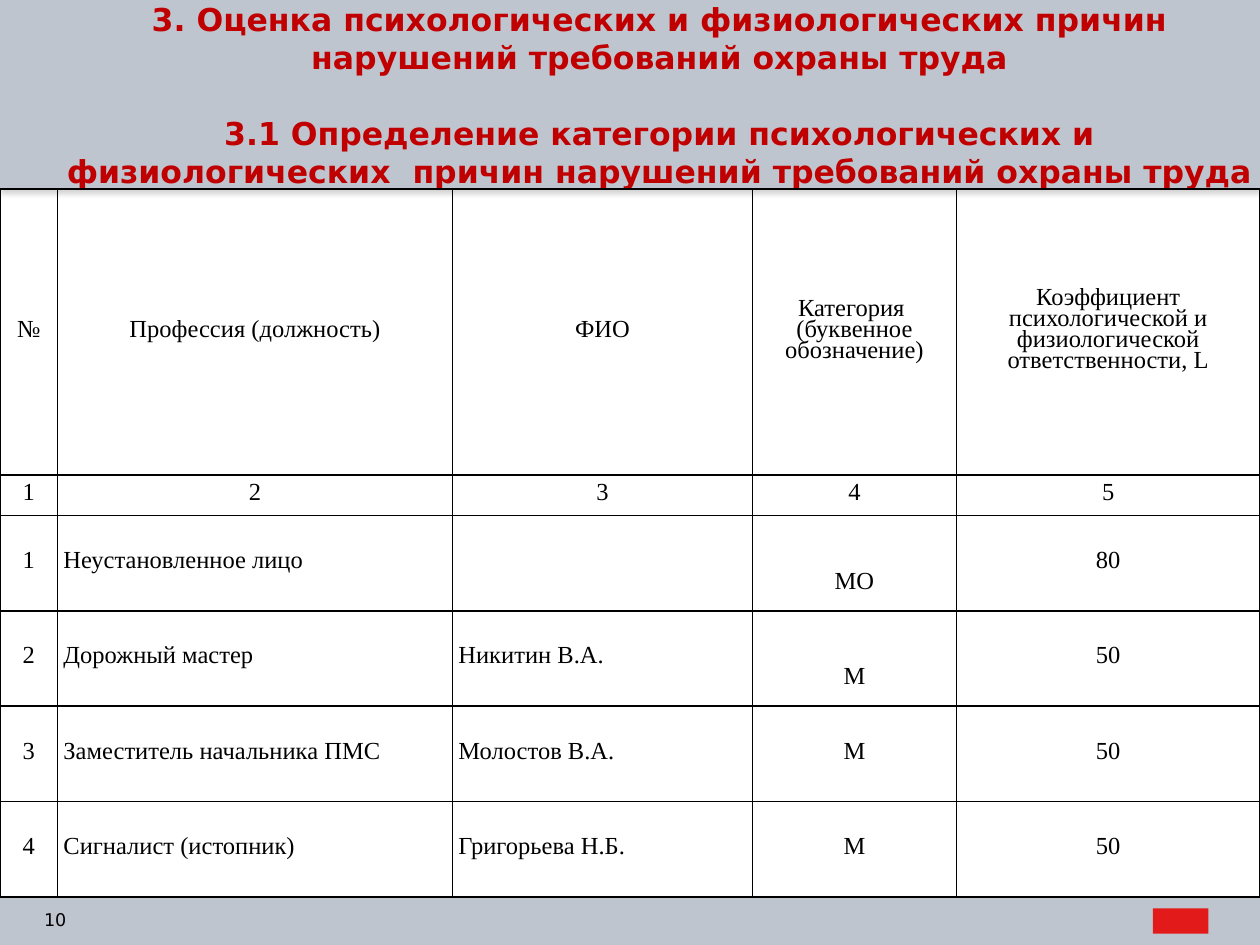
"""Build the slide on psychological and physiological causes of safety violations."""
import dataclasses

import lxml.etree
import pptx
import pptx.dml.color
import pptx.enum.shapes
import pptx.enum.text
import pptx.oxml.ns
import pptx.presentation
import pptx.shapes.autoshape
import pptx.slide
import pptx.table
import pptx.text.text
import pptx.util

Pt = pptx.util.Pt
RGB = pptx.dml.color.RGBColor
ALIGN = pptx.enum.text.PP_ALIGN
ANCHOR = pptx.enum.text.MSO_ANCHOR
qn = pptx.oxml.ns.qn


@dataclasses.dataclass(frozen=True)
class Theme:
    bar: str = "BFC5CE"
    shadow: str = "808080"
    emblem: str = "E21A1A"
    heading: str = "C00000"
    ink: str = "000000"
    sans: str = "DejaVu Sans"
    serif: str = "Times New Roman"
    heading_size: float = 18
    table_size: float = 14
    number_size: float = 10
    heading_line: float = 21.7
    table_line: float = 12


@dataclasses.dataclass(frozen=True)
class Block:
    left: float
    top: float
    width: float
    height: float
    color: str
    shadowed: bool = False


@dataclasses.dataclass(frozen=True)
class Worker:
    profession: str
    name: str
    category: str
    coefficient: str
    category_drop: float = 0


THEME = Theme()
SLIDE_WIDTH, SLIDE_HEIGHT = 720, 540
HEADER_HEIGHT = 108
FOOTER_TOP = 512.6
BLOCKS = (
    Block(0, 0, SLIDE_WIDTH, HEADER_HEIGHT, THEME.bar, True),
    Block(0, FOOTER_TOP, SLIDE_WIDTH, SLIDE_HEIGHT - FOOTER_TOP, THEME.bar, True),
    Block(658.8, 519.1, 31.7, 14.4, THEME.emblem),
)
HEADING = (
    "3. Оценка психологических и физиологических причин нарушений требований охраны труда\n"
    "3.1 Определение категории психологических и физиологических  причин "
    "нарушений требований охраны труда"
)
COLUMN_TITLES = (
    "№",
    "Профессия (должность)",
    "ФИО",
    "Категория  (буквенное обозначение)",
    "Коэффициент психологической и физиологической ответственности, L",
)
COLUMN_WIDTHS = (32.9, 225.7, 171.4, 116.6, 173.4)
TITLE_ROW, NUMBER_ROW, WORKER_ROW = 163.4, 23.2, 54.5
CATEGORY_COLUMN = 3
LEFT_COLUMNS = (1, 2)
WORKERS = (
    Worker("Неустановленное лицо", "", "МО", "80", 24),
    Worker("Дорожный мастер", "Никитин В.А.", "М", "50", 24),
    Worker("Заместитель начальника ПМС", "Молостов В.А.", "М", "50"),
    Worker("Сигналист (истопник)", "Григорьева Н.Б.", "М", "50"),
)


def style_text(
    frame: pptx.text.text.TextFrame, font: str, size: float, color: str, bold: bool = False
) -> None:
    for paragraph in frame.paragraphs:
        for run in paragraph.runs:
            run.font.name = font
            run.font.size = Pt(size)
            run.font.bold = bold
            run.font.color.rgb = RGB.from_string(color)


def clear_margins(frame: pptx.text.text.TextFrame) -> None:
    frame.margin_left = frame.margin_right = frame.margin_top = frame.margin_bottom = 0
    frame.word_wrap = True


def add_shadow(bar: pptx.shapes.autoshape.Shape) -> None:
    effects = bar.element.spPr.find(qn("a:effectLst"))
    outer = lxml.etree.SubElement(
        effects, qn("a:outerShdw"), blurRad=str(Pt(3.1)), dist=str(Pt(1.8)),
        dir="5400000", algn="t", rotWithShape="0",
    )
    color = lxml.etree.SubElement(outer, qn("a:srgbClr"), val=THEME.shadow)
    lxml.etree.SubElement(color, qn("a:alpha"), val="35000")


def draw_block(slide: pptx.slide.Slide, block: Block) -> None:
    shape = slide.shapes.add_shape(
        pptx.enum.shapes.MSO_SHAPE.RECTANGLE,
        Pt(block.left), Pt(block.top), Pt(block.width), Pt(block.height),
    )
    shape.fill.solid()
    shape.fill.fore_color.rgb = RGB.from_string(block.color)
    shape.line.fill.background()
    shape.shadow.inherit = False
    if block.shadowed:
        add_shadow(shape)
    slide.shapes.title.element.addprevious(shape.element)


def draw_heading(slide: pptx.slide.Slide) -> None:
    heading = slide.shapes.title
    heading.left, heading.top = Pt(33.8), Pt(0)
    heading.width, heading.height = Pt(686.2), Pt(66.2)
    frame = heading.text_frame
    frame.text = HEADING
    clear_margins(frame)
    frame.auto_size = pptx.enum.text.MSO_AUTO_SIZE.NONE
    frame.vertical_anchor = ANCHOR.TOP
    for paragraph in frame.paragraphs:
        paragraph.alignment = ALIGN.CENTER
        paragraph.line_spacing = Pt(THEME.heading_line)
    frame.paragraphs[1].space_before = Pt(THEME.heading_line)
    style_text(frame, THEME.sans, THEME.heading_size, THEME.heading, True)


def draw_page_number(slide: pptx.slide.Slide) -> None:
    page_number = slide.shapes.add_textbox(Pt(25.2), Pt(511.2), Pt(27.4), Pt(28.8))
    frame = page_number.text_frame
    frame.text = "10"
    clear_margins(frame)
    frame.vertical_anchor = ANCHOR.MIDDLE
    style_text(frame, THEME.sans, THEME.number_size, THEME.ink)


def add_borders(cell: pptx.table._Cell) -> None:
    properties = cell._tc.get_or_add_tcPr()
    for side in ("a:lnL", "a:lnR", "a:lnT", "a:lnB"):
        line = lxml.etree.SubElement(properties, qn(side), w=str(Pt(1)))
        fill = lxml.etree.SubElement(line, qn("a:solidFill"))
        lxml.etree.SubElement(fill, qn("a:srgbClr"), val=THEME.ink)


def fill_cell(cell: pptx.table._Cell, text: str, align: ALIGN, drop: float) -> None:
    cell.text_frame.text = text
    cell.margin_left = cell.margin_right = Pt(3.4)
    cell.margin_top, cell.margin_bottom = Pt(drop), 0
    cell.vertical_anchor = ANCHOR.MIDDLE
    paragraph = cell.text_frame.paragraphs[0]
    paragraph.alignment = align
    paragraph.line_spacing = Pt(THEME.table_line)
    style_text(cell.text_frame, THEME.serif, THEME.table_size, THEME.ink)
    add_borders(cell)
    cell.fill.background()


def draw_responsibility(slide: pptx.slide.Slide) -> None:
    numbers = tuple(str(number) for number in range(1, len(COLUMN_TITLES) + 1))
    people = [
        (str(number), worker.profession, worker.name, worker.category, worker.coefficient)
        for number, worker in enumerate(WORKERS, 1)
    ]
    rows = [COLUMN_TITLES, numbers, *people]
    heights = [TITLE_ROW, NUMBER_ROW] + [WORKER_ROW] * len(WORKERS)
    drops = [0, 0] + [worker.category_drop for worker in WORKERS]
    responsibility = slide.shapes.add_table(
        len(rows), len(COLUMN_WIDTHS), Pt(0), Pt(HEADER_HEIGHT),
        Pt(SLIDE_WIDTH), Pt(sum(heights)),
    ).table
    responsibility.first_row = responsibility.horz_banding = False
    for column, width in zip(responsibility.columns, COLUMN_WIDTHS):
        column.width = Pt(width)
    for row_index, (texts, height) in enumerate(zip(rows, heights)):
        responsibility.rows[row_index].height = Pt(height)
        for column_index, text in enumerate(texts):
            left = row_index > 1 and column_index in LEFT_COLUMNS
            drop = drops[row_index] if column_index == CATEGORY_COLUMN else 0
            fill_cell(
                responsibility.cell(row_index, column_index), text,
                ALIGN.LEFT if left else ALIGN.CENTER, drop,
            )


def main() -> None:
    deck = pptx.Presentation()
    deck.slide_width, deck.slide_height = Pt(SLIDE_WIDTH), Pt(SLIDE_HEIGHT)
    slide = deck.slides.add_slide(deck.slide_layouts[5])
    for block in BLOCKS:
        draw_block(slide, block)
    draw_page_number(slide)
    draw_heading(slide)
    draw_responsibility(slide)
    deck.save("out.pptx")


if __name__ == "__main__":
    main()
